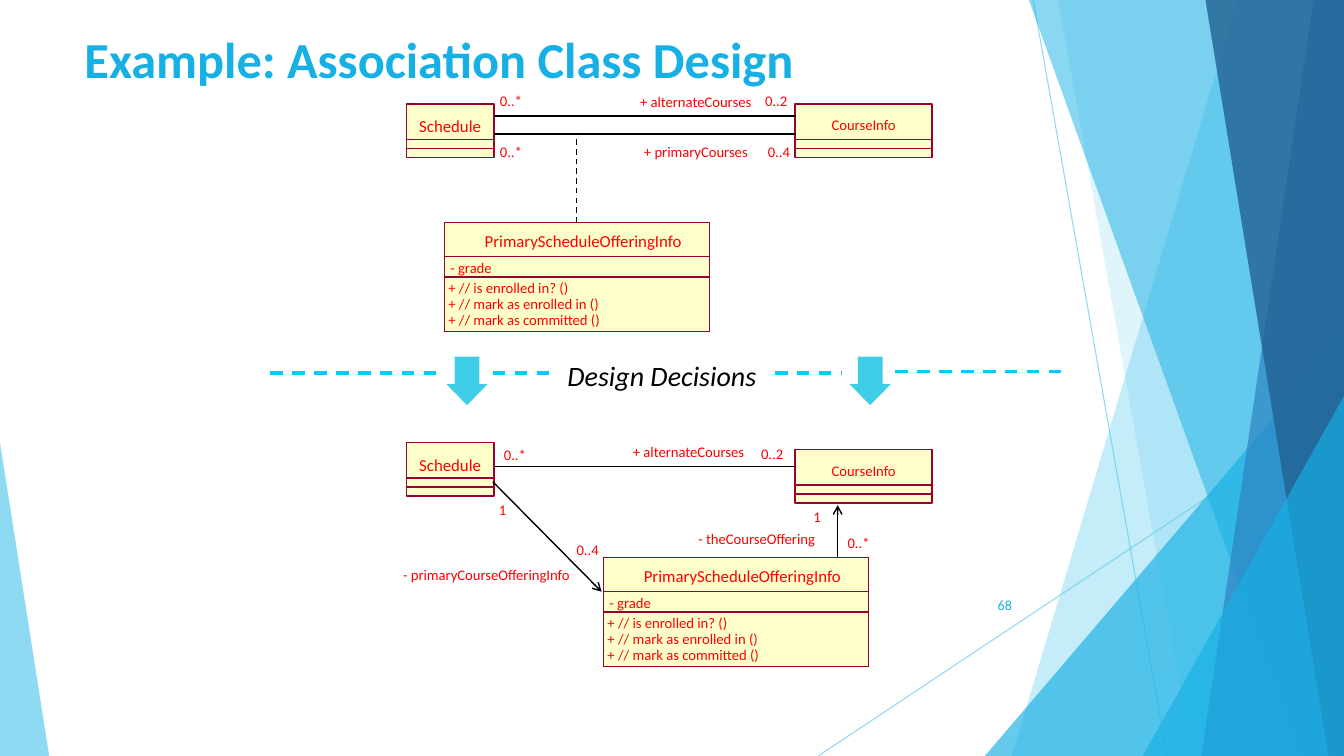
from lxml.etree import SubElement
from pptx import Presentation
from pptx.dml.color import RGBColor
from pptx.enum.dml import MSO_LINE
from pptx.enum.shapes import MSO_CONNECTOR, MSO_SHAPE as Preset
from pptx.enum.text import MSO_ANCHOR as Anchor, PP_ALIGN as Align
from pptx.oxml.ns import qn
from pptx.util import Cm, Pt

SLIDE_W, SLIDE_H = 33.87, 19.05
SKY, CYAN, BLUE, NAVY = "5FCBEF", "17B0E4", "2E83C3", "226292"
CREAM, MAROON, RED, BLACK = "FFFFCC", "990033", "FF0000", "000000"
DIVIDER, DECISION = "00CCFF", "3FCDE7"
MEMBER_SIZE, NAME_SIZE = 10.5, 12
SIMPLE_H = 1.35
INFO_W, INFO_H = 6.68, 2.74


def paint(target, colour, opacity=100):
    """Give a fill a solid colour, see-through if opacity is below 100."""
    target.solid()
    target.fore_color.rgb = RGBColor.from_string(colour)
    if opacity < 100:
        tint = target._xPr.find(qn("a:solidFill"))[0]
        SubElement(tint, qn("a:alpha"), val=str(opacity * 1000))


def finish(shape, colour, opacity=100, border=None):
    shape.shadow.inherit = False
    paint(shape.fill, colour, opacity)
    if border:
        paint(shape.line.fill, border)
        shape.line.width = Pt(1)
    else:
        shape.line.fill.background()


def add_preset(slide, preset, box, colour, opacity=100, border=None, adjust=()):
    shape = slide.shapes.add_shape(preset, *map(Cm, box))
    for index, value in enumerate(adjust):
        shape.adjustments[index] = value
    finish(shape, colour, opacity, border)


def add_facet(slide, top_x, bottom_x, colour, opacity):
    """Fill the full-height area between a slanted edge and the right side."""
    builder = slide.shapes.build_freeform(Cm(top_x), 0)
    builder.add_line_segments(
        [(Cm(SLIDE_W), 0), (Cm(SLIDE_W), Cm(SLIDE_H)), (Cm(bottom_x), Cm(SLIDE_H))])
    finish(builder.convert_to_shape(), colour, opacity)


def add_line(slide, start, end, colour=BLACK, width=1, dashed=False,
             arrow=False, opacity=100):
    line = slide.shapes.add_connector(
        MSO_CONNECTOR.STRAIGHT, *map(Cm, (*start, *end)))
    line.line.width = Pt(width)
    paint(line.line.fill, colour, opacity)
    if dashed:
        line.line.dash_style = MSO_LINE.DASH
    properties = line._element.spPr
    if arrow:
        SubElement(properties.find(qn("a:ln")), qn("a:tailEnd"), type="arrow")
    SubElement(properties, qn("a:effectLst"))


def add_text(slide, text, box, size, colour, align=Align.LEFT, anchor=Anchor.TOP,
             bold=False, italic=False, wrap=True, inset=True):
    frame = slide.shapes.add_textbox(*map(Cm, box)).text_frame
    frame.word_wrap = wrap
    frame.vertical_anchor = anchor
    if not inset:
        frame.margin_left = frame.margin_right = 0
        frame.margin_top = frame.margin_bottom = 0
    paragraph = frame.paragraphs[0]
    paragraph.alignment = align
    run = paragraph.add_run()
    run.text = text
    font = run.font
    font.name, font.size, font.bold, font.italic = "Calibri", Pt(size), bold, italic
    font.color.rgb = RGBColor.from_string(colour)


def add_label(slide, text, x, y, width=0.56):
    add_text(slide, text, (x, y, width, 0.46), MEMBER_SIZE, RED,
             wrap=False, inset=False)


def add_class_name(slide, name, x, y, width, size):
    add_text(slide, name, (x, y, width, 0.51), size, RED, Align.CENTER,
             wrap=False, inset=False)


def add_simple_class(slide, name, x, y, width, size):
    """Draw a class whose attribute and operation parts are empty."""
    add_preset(slide, Preset.RECTANGLE, (x, y, width, SIMPLE_H), CREAM, border=MAROON)
    add_class_name(slide, name, x, y + 0.3, width, size)
    for drop in (0.89, 1.12):
        add_line(slide, (x, y + drop), (x + width, y + drop), MAROON)


def add_info_class(slide, x, y):
    """Draw the association class with its attribute and operations."""
    for drop in (0, 0.86, 1.37):
        add_preset(slide, Preset.RECTANGLE, (x, y + drop, INFO_W, INFO_H - drop),
                   CREAM, border=MAROON)
    add_class_name(slide, "PrimaryScheduleOfferingInfo", x + 1, y + 0.2, 5, NAME_SIZE)
    add_label(slide, "- grade", x + 0.15, y + 0.91, 1.07)
    operations = [("+ // is enrolled in? ()", 3.07),
                  ("+ // mark as enrolled in ()", 3.84),
                  ("+ // mark as committed ()", 3.89)]
    for row, (operation, width) in enumerate(operations):
        add_label(slide, operation, x + 0.1, y + 1.42 + 0.4 * row, width)


def add_backdrop(slide):
    triangle = Preset.ISOSCELES_TRIANGLE
    add_line(slide, (26.04, 0), (29.41, SLIDE_H), SKY, 0.75, opacity=70)
    add_line(slide, (SLIDE_W, 10.24), (20.62, SLIDE_H), SKY, 0.75, opacity=70)
    add_facet(slide, 31.19, 25.5, SKY, 36)
    add_facet(slide, 26.67, 30.05, SKY, 20)
    add_preset(slide, triangle, (24.82, 8.46, 9.05, 10.59), CYAN, 66, adjust=[1])
    add_facet(slide, 25.93, 32.79, CYAN, 50)
    add_facet(slide, 33.1, 30.28, BLUE, 70)
    add_facet(slide, 30.38, 33.48, NAVY, 80)
    add_preset(slide, triangle, (28.8, 9.98, 5.07, 9.07), CYAN, 66, adjust=[1])
    add_preset(slide, triangle, (0, 11.15, 1.24, 7.9), SKY, 70, adjust=[0])


def add_analysis_model(slide):
    add_line(slide, (14.53, 5.61), (14.53, 3.35), dashed=True)
    add_info_class(slide, 11.2, 5.61)
    add_simple_class(slide, "Schedule", 10.24, 2.62, 2.21, NAME_SIZE)
    add_simple_class(slide, "CourseInfo", 20.04, 2.62, 3.45, MEMBER_SIZE)
    for y in (2.92, 3.38):
        add_line(slide, (12.45, y), (20.07, y))
    add_label(slide, "0..*", 12.6, 2.31)
    add_label(slide, "+ alternateCourses", 16.13, 2.34, 2.87)
    add_label(slide, "0..2", 19.28, 2.31)
    add_label(slide, "0..*", 12.6, 3.61)
    add_label(slide, "+ primaryCourses", 16.23, 3.61, 2.67)
    add_label(slide, "0..4", 19.35, 3.61)


def add_decision_divider(slide):
    for left, right, y in [(6.81, 11.15, 9.4), (12.42, 14.07, 9.4),
                           (19.53, 21.21, 9.4), (22.56, 26.87, 9.37)]:
        add_line(slide, (left, y), (right, y), DIVIDER, 2.25, dashed=True)
    for x in (11.25, 21.41):
        add_preset(slide, Preset.DOWN_ARROW, (x, 8.99, 1.04, 1.22), DECISION,
                   adjust=[0.6, 0.51])
    add_text(slide, "Design Decisions", (14.05, 8.92, 5.79, 1.12), 20, BLACK,
             italic=True)


def add_design_model(slide):
    add_simple_class(slide, "Schedule", 10.24, 11.15, 2.21, NAME_SIZE)
    add_simple_class(slide, "CourseInfo", 20.04, 11.33, 3.45, MEMBER_SIZE)
    add_info_class(slide, 15.21, 14.05)
    add_line(slide, (12.45, 11.76), (20.07, 11.76))
    add_line(slide, (12.42, 12.14), (15.16, 14.91), arrow=True)
    add_line(slide, (21.11, 14.05), (21.11, 12.73), arrow=True)
    add_label(slide, "0..*", 12.7, 11.23)
    add_label(slide, "+ alternateCourses", 15.95, 11.15, 2.87)
    add_label(slide, "0..2", 19.18, 11.2)
    add_label(slide, "1", 12.57, 12.62, 0.2)
    add_label(slide, "- primaryCourseOfferingInfo", 10.16, 14.25, 4.29)
    add_label(slide, "0..4", 14.53, 13.64)
    add_label(slide, "0..*", 21.36, 13.44)
    add_label(slide, "- theCourseOffering", 17.6, 13.34, 3.02)
    add_label(slide, "1", 20.5, 12.8, 0.2)


def main():
    deck = Presentation()
    deck.slide_width, deck.slide_height = Cm(SLIDE_W), Cm(SLIDE_H)
    slide = deck.slides.add_slide(deck.slide_layouts[6])
    add_backdrop(slide)
    add_text(slide, "Example: Association Class Design", (1.88, -0.36, 23.88, 3.66),
             36, CYAN, anchor=Anchor.MIDDLE, bold=True)
    add_text(slide, "68", (23.85, 14.73, 1.9, 1.02), 10, CYAN, Align.RIGHT,
             Anchor.MIDDLE)
    add_analysis_model(slide)
    add_decision_divider(slide)
    add_design_model(slide)
    deck.save("out.pptx")


if __name__ == "__main__":
    main()
